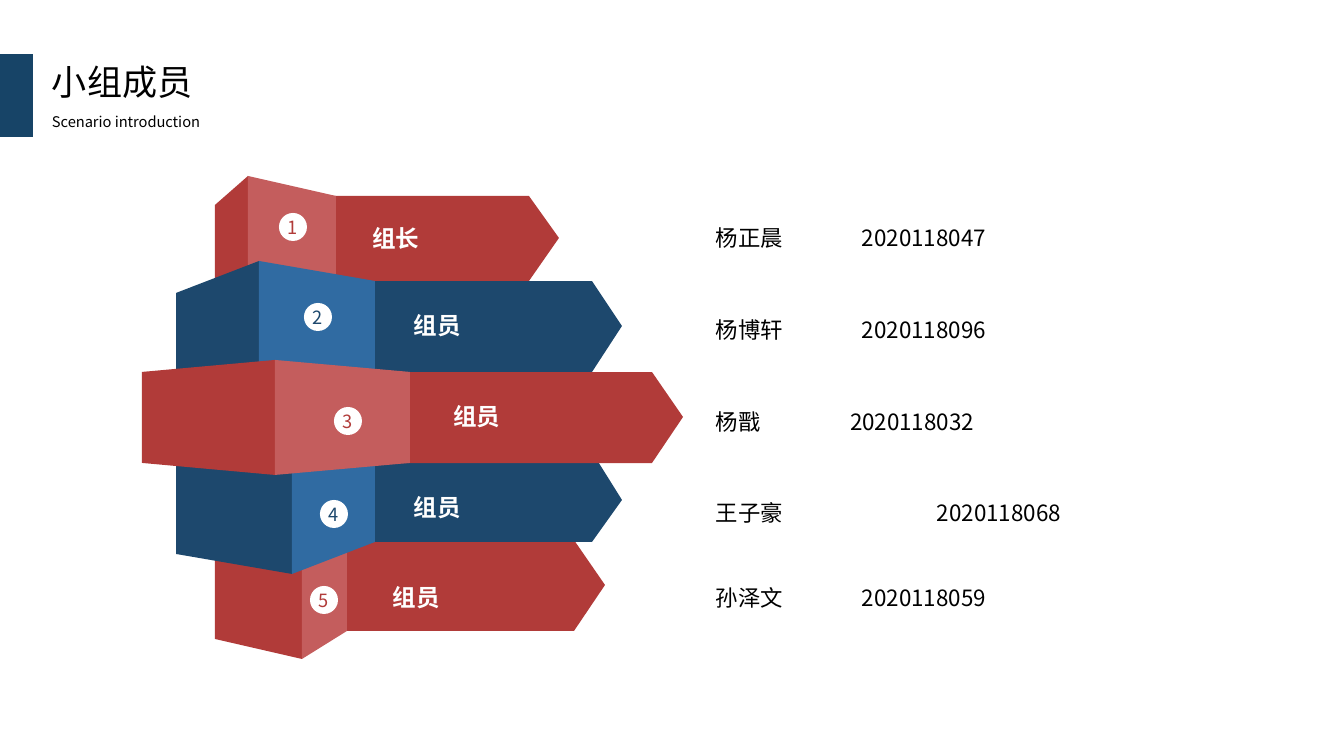
"""Build the group members slide: five folded ribbons beside a list of names."""
from lxml import etree
from pptx import Presentation
from pptx.dml.color import RGBColor
from pptx.enum.shapes import MSO_SHAPE
from pptx.enum.text import MSO_ANCHOR, PP_ALIGN
from pptx.oxml.ns import qn
from pptx.util import Emu, Pt

OVAL, RECTANGLE = MSO_SHAPE.OVAL, MSO_SHAPE.RECTANGLE
MIDDLE = MSO_ANCHOR.MIDDLE
LEFT, CENTER = PP_ALIGN.LEFT, PP_ALIGN.CENTER
EMU_PER_PX = 914400 / 100.8
FONT = "Noto Sans CJK JP"
BLACK, WHITE, NAVY = "000000", "FFFFFF", "174467"
RED, BLUE = ("B13B39", "C45D5D"), ("1D486D", "306BA2")
INSET = 10
BADGE_SIZE = 28
LABEL_SIZE = (148, 38)
MEMBER_LEFT, MEMBER_SIZE = 706, (605, 37)

TITLE = ("小组成员", 42, 56, 570, 50, 25.1)
SUBTITLE = ("Scenario introduction", 42, 109, 570, 26, 10.5)

RIBBONS = [
    {"number": "5", "label": "组员", "label_at": (383, 578), "badge": (324, 600), "colors": RED,
     "arrow": (309, 540, 574, 631, 605, 585),
     "left": [(302, 509), (215, 521), (215, 639), (302, 659)],
     "right": [(302, 509), (347, 521), (347, 631), (302, 659)]},
    {"number": "1", "label": "组长", "label_at": (362, 219), "badge": (293, 227), "colors": RED,
     "arrow": (297, 196, 529, 281, 559, 238),
     "left": [(248, 176), (215, 205), (215, 314), (248, 326)],
     "right": [(248, 176), (336, 196), (336, 314), (248, 326)]},
    {"number": "2", "label": "组员", "label_at": (404, 306), "badge": (318, 317), "colors": BLUE,
     "arrow": (215, 281, 592, 372, 622, 326),
     "left": [(259, 261), (176, 293), (176, 375), (259, 386)],
     "right": [(259, 261), (375, 281), (375, 375), (259, 386)]},
    {"number": "4", "label": "组员", "label_at": (404, 488), "badge": (334, 514), "colors": BLUE,
     "arrow": (215, 452, 592, 542, 622, 500),
     "left": [(292, 449), (176, 460), (176, 554), (292, 574)],
     "right": [(292, 449), (375, 460), (375, 542), (292, 574)]},
    {"number": "3", "label": "组员", "label_at": (443, 397), "badge": (348, 421), "colors": RED,
     "arrow": (275, 372, 652, 463, 683, 417),
     "left": [(275, 360), (142, 372), (142, 463), (275, 475)],
     "right": [(275, 360), (410, 372), (410, 463), (275, 475)]},
]

MEMBERS = [
    ("杨正晨", "2020118047", 219, 862),
    ("杨博轩", "2020118096", 311, 862),
    ("杨戬", "2020118032", 403, 850),
    ("王子豪", "2020118068", 494, 937),
    ("孙泽文", "2020118059", 579, 862),
]


def px(value):
    return Emu(round(value * EMU_PER_PX))


def color(hex_string):
    return RGBColor.from_string(hex_string)


def paint(shape, fill):
    shape.shadow.inherit = False
    shape.fill.solid()
    shape.fill.fore_color.rgb = color(fill)
    shape.line.fill.background()


def add_polygon(slide, points, fill):
    builder = slide.shapes.build_freeform(*points[0], scale=EMU_PER_PX)
    builder.add_line_segments(points[1:], close=True)
    paint(builder.convert_to_shape(), fill)


def add_preset(slide, preset, left, top, width, height, fill):
    shape = slide.shapes.add_shape(preset, px(left), px(top), px(width), px(height))
    paint(shape, fill)
    return shape


def write(shape, text, size, ink, bold=False, align=LEFT, inset=INSET):
    frame = shape.text_frame
    frame.word_wrap = True
    frame.vertical_anchor = MIDDLE
    frame.margin_left = frame.margin_right = px(inset)
    frame.margin_top = frame.margin_bottom = 0
    paragraph = frame.paragraphs[0]
    paragraph.alignment = align
    run = paragraph.add_run()
    run.text = text
    font = run.font
    font.name, font.size, font.bold = FONT, Pt(size), bold
    font.color.rgb = color(ink)
    east_asian = etree.SubElement(run._r.get_or_add_rPr(), qn("a:ea"))
    east_asian.set("typeface", FONT)
    return paragraph


def add_text(slide, text, left, top, width, height, size, ink=BLACK, bold=False):
    box = slide.shapes.add_textbox(px(left), px(top), px(width), px(height))
    return write(box, text, size, ink, bold)


def add_tab_stop(paragraph, position):
    tabs = etree.SubElement(paragraph._p.get_or_add_pPr(), qn("a:tabLst"))
    tab = etree.SubElement(tabs, qn("a:tab"))
    tab.set("pos", str(px(position)))
    tab.set("algn", "l")


def add_ribbon(slide, ribbon):
    dark, light = ribbon["colors"]
    left, top, shoulder, bottom, tip_x, tip_y = ribbon["arrow"]
    arrow = [(left, top), (shoulder, top), (tip_x, tip_y), (shoulder, bottom), (left, bottom)]
    add_polygon(slide, arrow, dark)
    add_polygon(slide, ribbon["left"], dark)
    add_polygon(slide, ribbon["right"], light)
    center_x, center_y = ribbon["badge"]
    badge = add_preset(slide, OVAL, center_x - BADGE_SIZE / 2, center_y - BADGE_SIZE / 2,
                       BADGE_SIZE, BADGE_SIZE, WHITE)
    write(badge, ribbon["number"], 13, dark, align=CENTER, inset=0)
    add_text(slide, ribbon["label"], *ribbon["label_at"], *LABEL_SIZE, 16.8, WHITE, True)


def main():
    presentation = Presentation()
    presentation.slide_width, presentation.slide_height = px(1344), px(756)
    slide = presentation.slides.add_slide(presentation.slide_layouts[6])
    add_preset(slide, RECTANGLE, 0, 54, 33, 83, NAVY)
    for heading in (TITLE, SUBTITLE):
        add_text(slide, *heading)
    for ribbon in RIBBONS:
        add_ribbon(slide, ribbon)
    for name, student_id, top, id_left in MEMBERS:
        paragraph = add_text(slide, f"{name}\t{student_id}", MEMBER_LEFT, top, *MEMBER_SIZE, 16)
        add_tab_stop(paragraph, id_left - MEMBER_LEFT - INSET)
    presentation.save("out.pptx")


if __name__ == "__main__":
    main()
